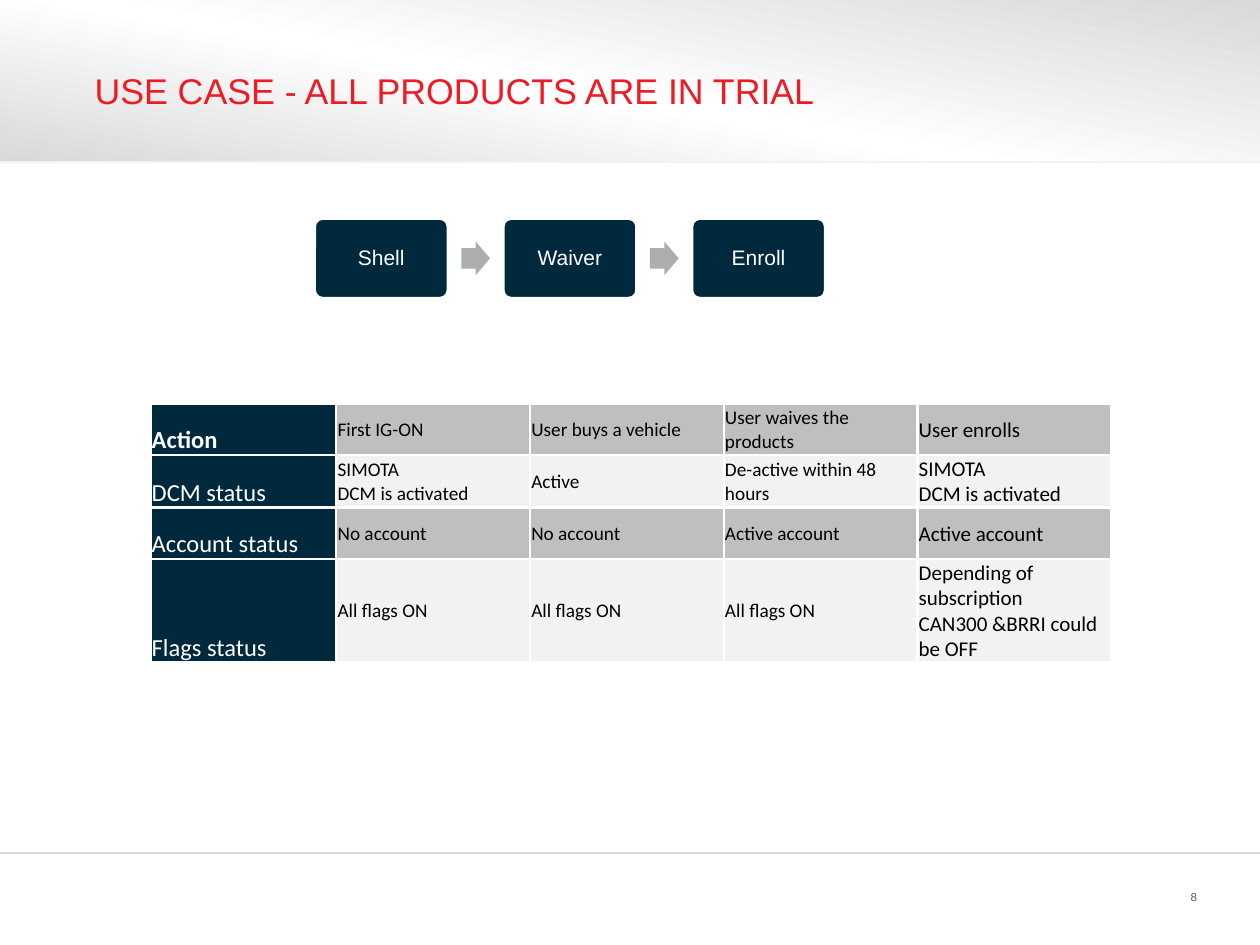
from copy import deepcopy

from lxml import etree
from pptx import Presentation
from pptx.dml.color import RGBColor
from pptx.enum.shapes import MSO_CONNECTOR, MSO_SHAPE
from pptx.enum.text import MSO_ANCHOR, PP_ALIGN
from pptx.oxml.ns import qn
from pptx.util import Pt

RECTANGLE, ROUNDED, ARROW = MSO_SHAPE.RECTANGLE, MSO_SHAPE.ROUNDED_RECTANGLE, MSO_SHAPE.RIGHT_ARROW
STRAIGHT = MSO_CONNECTOR.STRAIGHT
MIDDLE, BOTTOM = MSO_ANCHOR.MIDDLE, MSO_ANCHOR.BOTTOM
LEFT, CENTER, RIGHT = PP_ALIGN.LEFT, PP_ALIGN.CENTER, PP_ALIGN.RIGHT

TITLE_ONLY = 5
SLIDE_WIDTH, SLIDE_HEIGHT = 720, 540
NAVY, RED, WHITE, BLACK = "00293E", "ED1C24", "FFFFFF", "000000"
SILVER, PALE, RULE, ARROW_GREY, NUMBER_GREY = "BFBFBF", "F2F2F2", "D9D9D9", "ABADAF", "58595B"

STEPS = ["Shell", "Waiver", "Enroll"]
STEP_LEFT, STEP_TOP, STEP_WIDTH, STEP_HEIGHT, STEP_PITCH = 179.6, 124.7, 76.6, 45.9, 107.8
ARROW_OFFSET, ARROW_WIDTH, ARROW_HEIGHT = 84, 16.4, 19.4

STATUS_ROWS = [
    ["Action", "First IG-ON", "User buys a vehicle", "User waives the products", "User enrolls"],
    ["DCM status", "SIMOTA\vDCM is activated", "Active", "De-active within 48 hours",
     "SIMOTA\vDCM is activated"],
    ["Account status", "No account", "No account", "Active account", "Active account"],
    ["Flags status", "All flags ON", "All flags ON", "All flags ON",
     "Depending of subscription\nCAN300 &BRRI could be OFF"],
]
COLUMN_WIDTHS = [106.2, 110.7, 110.7, 110.7, 110.7]
COLUMN_SIZES = [14, 11, 11, 11, 12]
ROW_HEIGHTS = [29.3, 29.3, 29.3, 58.4]


def color(hex_code):
    """Turn a hex string into a colour."""
    return RGBColor.from_string(hex_code)


def format_text(frame, font, size, hex_code, align=LEFT, anchor=MIDDLE, bold=False):
    """Format every run of a text frame alike."""
    frame.vertical_anchor = anchor
    for paragraph in frame.paragraphs:
        paragraph.alignment = align
        for run in paragraph.runs:
            run.font.name = font
            run.font.size = Pt(size)
            run.font.bold = bold
            run.font.color.rgb = color(hex_code)


def set_insets(holder, left, top, right, bottom):
    """Set the four margins of a text frame or cell."""
    holder.margin_left, holder.margin_top = Pt(left), Pt(top)
    holder.margin_right, holder.margin_bottom = Pt(right), Pt(bottom)


def add_block(slide, preset, left, top, width, height):
    """Add a preset shape without shadow or outline."""
    block = slide.shapes.add_shape(preset, Pt(left), Pt(top), Pt(width), Pt(height))
    block.shadow.inherit = False
    block.line.fill.background()
    return block


def add_header_band(slide):
    """Add the band with its three-stop gradient."""
    band = add_block(slide, RECTANGLE, 0, 0, SLIDE_WIDTH, 92.2)
    band.fill.gradient()
    band.fill.gradient_angle = 260
    first_stop = band._element.spPr.find(".//" + qn("a:gs"))
    first_stop.addnext(deepcopy(first_stop))
    for stop, position, shade in zip(band.fill.gradient_stops, (0, 0.55, 1), (RULE, WHITE, RULE)):
        stop.position = position
        stop.color.rgb = color(shade)


def add_rule(slide, top, hex_code):
    """Add a thin line across the slide."""
    rule = slide.shapes.add_connector(STRAIGHT, Pt(0), Pt(top), Pt(SLIDE_WIDTH), Pt(top))
    rule.line.color.rgb = color(hex_code)
    rule.line.width = Pt(1)
    etree.SubElement(rule._element.spPr, qn("a:effectLst"))


def add_title(slide, wording):
    """Fill the title placeholder and bring it above the band."""
    title = slide.shapes.title
    title.left, title.top, title.width, title.height = Pt(43.2), Pt(10.8), Pt(633.6), Pt(81.4)
    title.text_frame.text = wording
    set_insets(title.text_frame, 10.8, 0, 10.8, 0)
    format_text(title.text_frame, "Arial", 20.4, RED)
    slide.shapes._spTree.append(title._element)


def add_page_number(slide, number):
    """Add the page number at the lower right."""
    frame = slide.shapes.add_textbox(Pt(642.2), Pt(504.7), Pt(41.8), Pt(15.8)).text_frame
    frame.text = number
    frame.word_wrap = True
    set_insets(frame, 0, 0, 0, 0)
    format_text(frame, "Arial", 6.6, NUMBER_GREY, RIGHT)


def add_step(slide, left, wording):
    """Add one rounded step of the process."""
    step = add_block(slide, ROUNDED, left, STEP_TOP, STEP_WIDTH, STEP_HEIGHT)
    step.adjustments[0] = 0.1
    step.fill.solid()
    step.fill.fore_color.rgb = color(NAVY)
    step.line.color.rgb = color(WHITE)
    step.line.width = Pt(2)
    step.text_frame.text = wording
    set_insets(step.text_frame, 3.6, 3.6, 3.6, 3.6)
    format_text(step.text_frame, "Arial", 12, WHITE, CENTER)
    step.text_frame.paragraphs[0].line_spacing = 0.9


def add_step_arrow(slide, left):
    """Add a block arrow centred on the height of the steps."""
    top = STEP_TOP + (STEP_HEIGHT - ARROW_HEIGHT) / 2
    arrow = add_block(slide, ARROW, left, top, ARROW_WIDTH, ARROW_HEIGHT)
    arrow.adjustments[0] = 0.6
    arrow.fill.solid()
    arrow.fill.fore_color.rgb = color(ARROW_GREY)


def add_process(slide):
    """Add the steps with an arrow between neighbours."""
    for index, wording in enumerate(STEPS):
        left = STEP_LEFT + index * STEP_PITCH
        add_step(slide, left, wording)
        if index < len(STEPS) - 1:
            add_step_arrow(slide, left + ARROW_OFFSET)


def add_borders(cell):
    """Draw white borders on all sides of a cell."""
    properties = cell._tc.get_or_add_tcPr()
    for side in ("a:lnL", "a:lnR", "a:lnT", "a:lnB"):
        border = etree.SubElement(properties, qn(side), w=str(Pt(1.5)))
        fill = etree.SubElement(border, qn("a:solidFill"))
        etree.SubElement(fill, qn("a:srgbClr"), val=WHITE)


def format_cell(cell, row, column):
    """Style a cell by its row and column."""
    is_label = column == 0
    set_insets(cell, 0.72, 0.72, 0.72, 0)
    add_borders(cell)
    cell.fill.solid()
    cell.fill.fore_color.rgb = color(NAVY if is_label else (SILVER, PALE)[row % 2])
    format_text(cell.text_frame, "Calibri", COLUMN_SIZES[column], WHITE if is_label else BLACK,
                bold=is_label and row == 0)
    cell.vertical_anchor = BOTTOM if is_label else MIDDLE


def add_status_table(slide):
    """Add the table of statuses for each action."""
    table = slide.shapes.add_table(len(STATUS_ROWS), len(COLUMN_WIDTHS), Pt(86), Pt(230.8),
                                   Pt(sum(COLUMN_WIDTHS)), Pt(sum(ROW_HEIGHTS))).table
    table.first_row = table.horz_banding = False
    for column, width in zip(table.columns, COLUMN_WIDTHS):
        column.width = Pt(width)
    for row, (height, wordings) in enumerate(zip(ROW_HEIGHTS, STATUS_ROWS)):
        table.rows[row].height = Pt(height)
        for column, wording in enumerate(wordings):
            cell = table.cell(row, column)
            cell.text_frame.text = wording
            format_cell(cell, row, column)


def main():
    """Build the slide and save it."""
    deck = Presentation()
    deck.slide_width, deck.slide_height = Pt(SLIDE_WIDTH), Pt(SLIDE_HEIGHT)
    slide = deck.slides.add_slide(deck.slide_layouts[TITLE_ONLY])
    add_header_band(slide)
    add_rule(slide, 92.7, PALE)
    add_rule(slide, 487.4, RULE)
    add_page_number(slide, "8")
    add_title(slide, "USE CASE - ALL PRODUCTS ARE IN TRIAL")
    add_status_table(slide)
    add_process(slide)
    deck.save("out.pptx")


if __name__ == "__main__":
    main()
